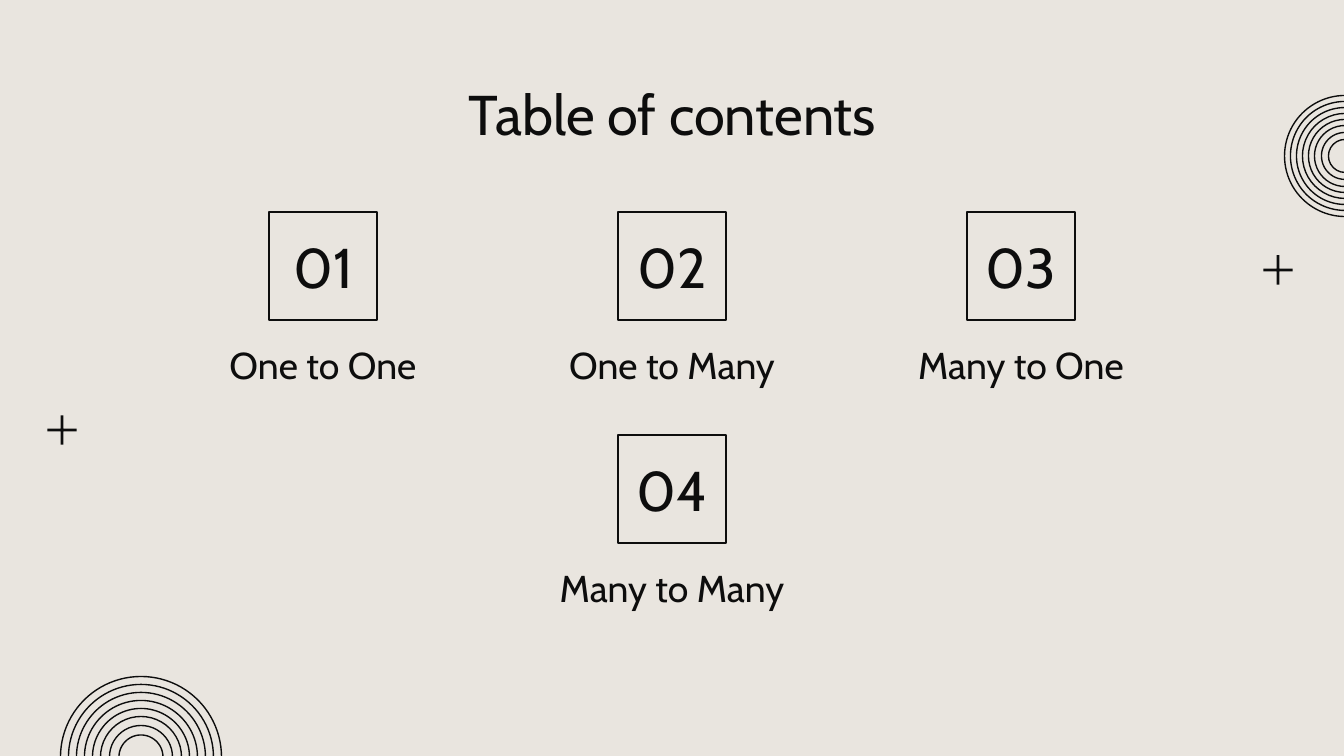
from pptx import Presentation
from pptx import util as u
from pptx.dml.color import RGBColor
from pptx.enum import shapes, text

PX = 914400 / 134.4  # EMU in one px
WIDTH, HEIGHT = 1344, 756


def px(*lengths):
    return [u.Emu(round(length * PX)) for length in lengths]


def color(hex_string):
    return RGBColor.from_string(hex_string)


class Deck:
    FONT, INK, PAPER = "Cabin", "0D0D0D", "E9E5DF"
    INSET = u.Inches(0.1)

    def __init__(self):
        self.prs = Presentation()
        self.prs.slide_width, self.prs.slide_height = px(WIDTH, HEIGHT)
        self.slide = self.prs.slides.add_slide(self.prs.slide_layouts[5])
        background = self.slide.background.fill
        background.solid()
        background.fore_color.rgb = color(self.PAPER)

    def set_text(self, shape, words, size, anchor):
        frame = shape.text_frame
        frame.auto_size = text.MSO_AUTO_SIZE.NONE
        frame.word_wrap = True
        frame.vertical_anchor = anchor
        frame.margin_left = frame.margin_right = self.INSET
        frame.margin_top = frame.margin_bottom = self.INSET
        frame.text = words
        paragraph = frame.paragraphs[0]
        paragraph.alignment = text.PP_ALIGN.CENTER
        paragraph.font.name = self.FONT
        paragraph.font.size = u.Pt(size)
        paragraph.font.color.rgb = color(self.INK)

    def title(self, words, *box):
        heading = self.slide.shapes.title
        heading.left, heading.top, heading.width, heading.height = px(*box)
        self.set_text(heading, words, 30, text.MSO_ANCHOR.TOP)

    def label(self, words, *box):
        caption = self.slide.shapes.add_textbox(*px(*box))
        self.set_text(caption, words, 20, text.MSO_ANCHOR.BOTTOM)

    def outline(self, kind, weight, *box):
        shape = self.slide.shapes.add_shape(kind, *px(*box))
        shape.shadow.inherit = False
        shape.fill.background()
        shape.line.color.rgb = color(self.INK)
        shape.line.width = u.Pt(weight)
        return shape

    def number(self, words, *box):
        square = self.outline(shapes.MSO_SHAPE.RECTANGLE, 1.5, *box)
        self.set_text(square, words, 30, text.MSO_ANCHOR.MIDDLE)

    def rings(self, center_x, center_y, diameters):
        for d in diameters:
            self.outline(shapes.MSO_SHAPE.OVAL, 0.75,
                         center_x - d / 2, center_y - d / 2, d, d)

    def plus(self, left, top, size):
        sign = self.slide.shapes.add_shape(
            shapes.MSO_SHAPE.MATH_PLUS, *px(left, top, size, size))
        sign.shadow.inherit = False
        sign.adjustments[0] = 0.069
        sign.fill.solid()
        sign.fill.fore_color.rgb = color(self.INK)
        sign.line.fill.background()


def main():
    deck = Deck()

    # Corner decoration
    deck.rings(141, 757, (161, 145, 129, 113, 97, 81, 63, 44))
    deck.rings(1345, 156, (121, 109, 97, 85, 73, 61, 47, 33))
    deck.plus(1258, 250, 40)
    deck.plus(42, 410, 40)

    deck.title("Table of contents", 106, 66, 1133, 85)

    # Numbered sections: column offset from the middle, row
    sections = [("One to One", -1, 0), ("One to Many", 0, 0),
                ("Many to One", 1, 0), ("Many to Many", 0, 1)]
    column_step, row_step, first_top = 349, 223, 212
    square, label_width, label_height, label_drop = 108, 289, 71, 117
    for index, (topic, column, row) in enumerate(sections, 1):
        center = WIDTH / 2 + column * column_step
        top = first_top + row * row_step
        deck.number(f"{index:02}", center - square / 2, top, square, square)
        deck.label(topic, center - label_width / 2, top + label_drop,
                   label_width, label_height)

    deck.prs.save("out.pptx")


if __name__ == "__main__":
    main()
